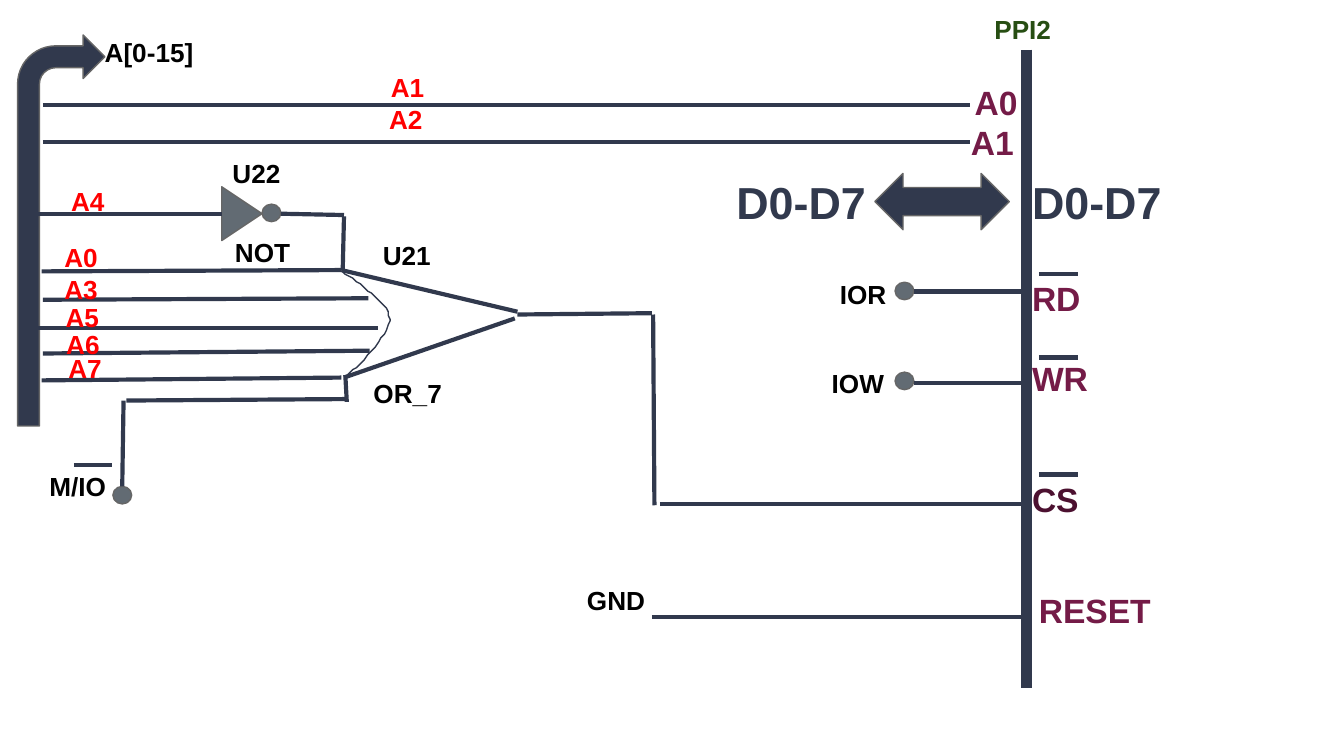
import dataclasses

import pptx
import pptx.dml.color
import pptx.enum.shapes
import pptx.enum.text
import pptx.oxml.ns
import pptx.util
from lxml import etree

Pt = pptx.util.Pt
Preset = pptx.enum.shapes.MSO_SHAPE


@dataclasses.dataclass(frozen=True)
class Theme:
    font: str = "Arial"
    wire: str = "31394D"
    gate: str = "626B73"
    outline: str = "666666"
    paper: str = "FFFFFF"
    label: str = "000000"
    address: str = "FF0000"
    pin: str = "741B47"
    select: str = "4C1130"
    chip: str = "274E13"
    small: int = 14
    medium: int = 18
    large: int = 24
    thin: float = 0.75
    normal: float = 2.25
    thick: float = 6


def rgb(color):
    return pptx.dml.color.RGBColor.from_string(color)


def bezier(start, first, second, end, steps=16):
    for step in range(1, steps + 1):
        t = step / steps
        yield tuple(
            (1 - t) ** 3 * a + 3 * (1 - t) ** 2 * t * b + 3 * (1 - t) * t * t * c + t ** 3 * d
            for a, b, c, d in zip(start, first, second, end)
        )


class Schematic:
    def __init__(self, slide, theme):
        self.shapes = slide.shapes
        self.theme = theme

    def paint(self, shape, fill, line):
        shape.shadow.inherit = False
        shape.fill.solid()
        shape.fill.fore_color.rgb = rgb(fill)
        shape.line.color.rgb = rgb(line)
        shape.line.width = Pt(self.theme.thin)

    def symbol(self, preset, left, top, width, height, fill, adjustments=(), rotation=0):
        shape = self.shapes.add_shape(preset, Pt(left), Pt(top), Pt(width), Pt(height))
        for index, value in enumerate(adjustments):
            shape.adjustments[index] = value
        shape.rotation = rotation
        self.paint(shape, fill, self.theme.outline)

    def terminal(self, left, top):
        self.symbol(Preset.FLOWCHART_CONNECTOR, left, top, 10.1, 9.4, self.theme.gate)

    def curve(self, start, segments):
        points = []
        current = start
        for segment in segments:
            points.extend(bezier(current, *segment))
            current = segment[-1]
        builder = self.shapes.build_freeform(*start, scale=Pt(1))
        builder.add_line_segments(points, close=False)
        self.paint(builder.convert_to_shape(), self.theme.paper, self.theme.wire)

    def wire(self, x1, y1, x2, y2, width=None):
        connector = self.shapes.add_connector(
            pptx.enum.shapes.MSO_CONNECTOR.STRAIGHT, Pt(x1), Pt(y1), Pt(x2), Pt(y2)
        )
        connector.line.color.rgb = rgb(self.theme.wire)
        connector.line.width = Pt(width or self.theme.normal)
        properties = connector.element.find(pptx.oxml.ns.qn("p:spPr"))
        etree.SubElement(properties, pptx.oxml.ns.qn("a:effectLst"))

    def text(self, words, left, top, width, height, color, size, gap=0, indent=0):
        box = self.shapes.add_textbox(Pt(left), Pt(top), Pt(width), Pt(height))
        frame = box.text_frame
        frame.word_wrap = True
        frame.auto_size = pptx.enum.text.MSO_AUTO_SIZE.NONE
        frame.margin_left = frame.margin_right = Pt(7.2)
        frame.margin_top = frame.margin_bottom = Pt(7.2)
        frame.text = words
        for paragraph in frame.paragraphs:
            font = paragraph.runs[0].font
            font.name = self.theme.font
            font.size = Pt(size)
            font.bold = True
            font.color.rgb = rgb(color)
        if gap:
            frame.paragraphs[-1].space_before = Pt(gap)
        if indent:
            first = frame.paragraphs[0]._p.get_or_add_pPr()
            first.set("marL", str(Pt(indent)))
            first.set("indent", "0")


def draw_gates(board):
    theme = board.theme
    board.curve(
        (182.9, 144.7),
        [
            ((187.2, 149), (208.1, 160.6), (208.8, 170.6)),
            ((209.5, 180), (189.4, 197.3), (185, 202.3)),
        ],
    )
    board.symbol(Preset.ISOSCELES_TRIANGLE, 115.2, 103.7, 28.8, 21.6, theme.gate, rotation=90)
    board.symbol(Preset.BENT_ARROW, 9.4, 18.7, 46.8, 209.5, theme.wire, (0.25, 0.25, 0.25, 0.438))
    board.symbol(Preset.LEFT_RIGHT_ARROW, 468.7, 92.9, 72, 30.2, theme.wire, (0.5, 0.5))
    for left, top in [(140.4, 109.4), (60.5, 260.6), (479.5, 199.4), (479.5, 151.2)]:
        board.terminal(left, top)


def draw_wires(board):
    or_gate_sides = [(182.9, 144.7, 277.2, 167), (275.8, 170.6, 184.3, 202.3)]
    or_gate_inputs = [
        (182.9, 144.7, 22.3, 145.4),
        (182.9, 202.3, 22.3, 203.8),
        (23, 160.6, 197.3, 159.8),
        (19.4, 175.7, 202.3, 175.7),
        (23, 189.4, 198, 187.9),
    ]
    memory_select = [
        (65.5, 260.6, 66.2, 214.6),
        (67.7, 214.6, 185.8, 213.8),
        (185, 200.9, 185.8, 215.3),
    ]
    inverter = [
        (18, 114.5, 118.8, 114.5),
        (150.5, 114.5, 184.3, 115.2),
        (184.3, 115.9, 183.6, 144.7),
    ]
    chip_select = [
        (277.2, 168.5, 349.2, 167.8),
        (349.9, 168.5, 350.6, 270.7),
        (353.5, 270, 552.2, 270),
    ]
    for ends in or_gate_sides + or_gate_inputs + memory_select + inverter + chip_select:
        board.wire(*ends)
    board.wire(550.1, 26.6, 550.1, 368.6, board.theme.thick)
    level_wires = [(39.6, 59.8, 249.1), (349.2, 547.9, 330.5)]
    level_wires += [(556.6, 577.4, y) for y in (146.9, 191.5, 254.2)]
    level_wires += [(489.6, 547.9, y) for y in (156.2, 205.2)]
    level_wires += [(23, 519.8, y) for y in (56.2, 76.3)]
    for start, end, y in level_wires:
        board.wire(start, y, end, y)


def draw_labels(board):
    theme = board.theme
    for words, left, top, width in [
        ("M/IO", 19.4, 244.8, 55.4),
        ("OR_7", 193, 195.1, 55.4),
        ("NOT", 118.8, 119.5, 55.4),
        ("U21", 198, 121, 72),
        ("U22", 117.4, 77, 46.8),
        ("GND", 307.4, 306, 72),
        ("IOR", 442.8, 141.8, 63.4),
        ("IOW", 438.5, 189.4, 62.6),
        ("A[0-15]", 49, 12.2, 91.4),
    ]:
        board.text(words, left, top, width, 29, theme.label, theme.small)
    for words, left, top in [
        ("A4", 31, 92.2),
        ("A0", 27.4, 122.4),
        ("A3", 27.4, 139),
        ("A5", 28.1, 154.1),
        ("A6", 28.4, 168.5),
        ("A7", 29.5, 181.4),
        ("A1", 202.3, 31),
        ("A2", 201.4, 48.2),
    ]:
        board.text(words, left, top, 55, 30, theme.address, theme.small)
    board.text("PPI2", 525.6, 0, 101.5, 31, theme.chip, theme.small)
    for left in (387.4, 545.8):
        board.text("D0-D7", left, 86.4, 105, 40, theme.wire, theme.large)
    board.text("A0\nA1", 513, 36.7, 56, 62.6, theme.pin, theme.medium, indent=2)
    board.text("RD\nWR", 545.8, 141.8, 91.4, 102.2, theme.pin, theme.medium, gap=21)
    board.text("CS", 545.8, 249.1, 62.6, 49, theme.select, theme.medium)
    board.text("RESET", 549.4, 308.9, 95, 35.3, theme.pin, theme.medium)


def main():
    deck = pptx.Presentation()
    deck.slide_width = Pt(720)
    deck.slide_height = Pt(405)
    board = Schematic(deck.slides.add_slide(deck.slide_layouts[6]), Theme())
    draw_gates(board)
    draw_wires(board)
    draw_labels(board)
    deck.save("out.pptx")


if __name__ == "__main__":
    main()
